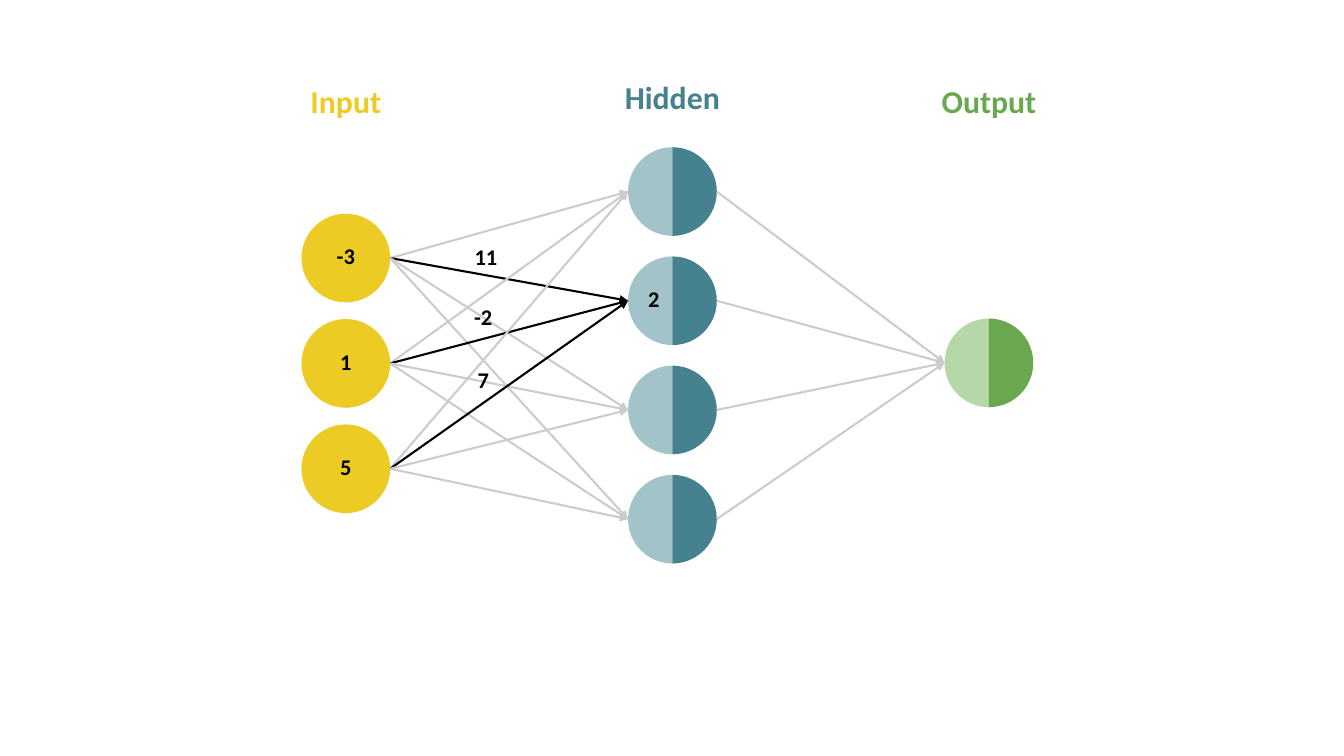
from dataclasses import dataclass

from lxml import etree
from pptx import Presentation
from pptx import util as u
from pptx.dml.color import RGBColor
from pptx.enum import shapes, text
from pptx.oxml import ns

YELLOW = RGBColor(0xEC, 0xCC, 0x24)
PALE_TEAL = RGBColor(0xA2, 0xC4, 0xC9)
TEAL = RGBColor(0x45, 0x81, 0x8E)
PALE_GREEN = RGBColor(0xB6, 0xD7, 0xA8)
GREEN = RGBColor(0x6A, 0xA8, 0x4F)
GREY = RGBColor(0xCC, 0xCC, 0xCC)
BLACK = RGBColor(0, 0, 0)

FONT = "Calibri"
WIDTH, HEIGHT = u.Inches(13.33), u.Inches(7.5)
HIGHLIGHTED_NODE = 1


def across(percent):
    return round(WIDTH * percent / 100)


def down(percent):
    return round(HEIGHT * percent / 100)


@dataclass
class Box:
    left: int
    top: int
    width: int
    height: int


def share_box(left, top, width, height):
    return Box(across(left), down(top), across(width), down(height))


def add_text(slide, box, wording, size, color, inset=None):
    shape = slide.shapes.add_textbox(box.left, box.top, box.width, box.height)
    frame = shape.text_frame
    frame.word_wrap = True
    frame.vertical_anchor = text.MSO_ANCHOR.TOP
    if inset is not None:
        frame.margin_left = frame.margin_right = inset
        frame.margin_top = frame.margin_bottom = inset
    paragraph = frame.paragraphs[0]
    paragraph.alignment = text.PP_ALIGN.CENTER
    run = paragraph.add_run()
    run.text = wording
    run.font.name = FONT
    run.font.size = u.Pt(size)
    run.font.bold = True
    run.font.color.rgb = color


def add_number(slide, center_x, center_y, wording):
    width, height = across(4.65), down(4.93)
    box = Box(center_x - width // 2, center_y - height // 2, width, height)
    add_text(slide, box, wording, 16, BLACK)


def add_heading(slide, column, top, wording, color):
    width = across(10.88)
    left = column.left + (column.width - width) // 2
    box = Box(left, down(top), width, down(6.93))
    add_text(slide, box, wording, 22.7, color, u.Inches(0.13))


def add_disc(slide, kind, left, top, diameter, color):
    shape = slide.shapes.add_shape(kind, left, top, diameter, diameter)
    shape.shadow.inherit = False
    shape.fill.solid()
    shape.fill.fore_color.rgb = color
    shape.line.fill.background()
    return shape


def add_neurons(slide, box, count, colors):
    diameter = box.width
    pitch = (box.height - diameter) / max(count - 1, 1)
    centers = []
    for row in range(count):
        top = round(box.top + row * pitch)
        if len(colors) == 1:
            add_disc(slide, shapes.MSO_SHAPE.OVAL, box.left, top, diameter, colors[0])
        else:
            for half, color in enumerate(colors):
                pie = add_disc(slide, shapes.MSO_SHAPE.PIE, box.left, top, diameter, color)
                pie.adjustments[0] = 54
                pie.adjustments[1] = 162
                pie.rotation = 180 * half
        centers.append(top + diameter // 2)
    return centers


def add_arrow(slide, start, end, color):
    arrow = slide.shapes.add_connector(shapes.MSO_CONNECTOR.STRAIGHT, *start, *end)
    arrow.line.color.rgb = color
    arrow.line.width = u.Pt(1.5)
    etree.SubElement(arrow.line._get_or_add_ln(), ns.qn("a:tailEnd"), type="triangle")
    etree.SubElement(arrow._element.spPr, ns.qn("a:effectLst"))


def connect_layers(slide, source, source_rows, target, target_rows, highlighted=None):
    for start_y in source_rows:
        for row, end_y in enumerate(target_rows):
            color = BLACK if row == highlighted else GREY
            start = (source.left + source.width, start_y)
            add_arrow(slide, start, (target.left, end_y), color)


def build_network(slide):
    inputs = share_box(22.43, 28.27, 6.6, 39.6)
    hidden = share_box(46.73, 19.47, 6.6, 55.07)
    output = share_box(70.28, 42.13, 6.6, 11.73)

    input_rows = add_neurons(slide, inputs, 3, [YELLOW])
    hidden_rows = add_neurons(slide, hidden, 4, [PALE_TEAL, TEAL])
    output_rows = add_neurons(slide, output, 1, [PALE_GREEN, GREEN])

    connect_layers(slide, inputs, input_rows, hidden, hidden_rows, HIGHLIGHTED_NODE)
    connect_layers(slide, hidden, hidden_rows, output, output_rows)

    lift = down(0.27)
    for value, center_y in zip(["-3", "1", "5"], input_rows):
        add_number(slide, inputs.left + inputs.width // 2, center_y - lift, value)
    weights = [("11", 36.15, 33.93), ("-2", 35.96, 41.93), ("7", 35.96, 50.2)]
    for weight, x, y in weights:
        add_number(slide, across(x), down(y), weight)
    sum_x = hidden.left + round(hidden.width * 0.29)
    add_number(slide, sum_x, hidden_rows[HIGHLIGHTED_NODE] - lift, "2")

    add_heading(slide, inputs, 9.07, "Input", YELLOW)
    add_heading(slide, hidden, 8.53, "Hidden", TEAL)
    add_heading(slide, output, 9.07, "Output", GREEN)


def main():
    presentation = Presentation()
    presentation.slide_width = WIDTH
    presentation.slide_height = HEIGHT
    slide = presentation.slides.add_slide(presentation.slide_layouts[6])
    build_network(slide)
    presentation.save("out.pptx")


if __name__ == "__main__":
    main()
